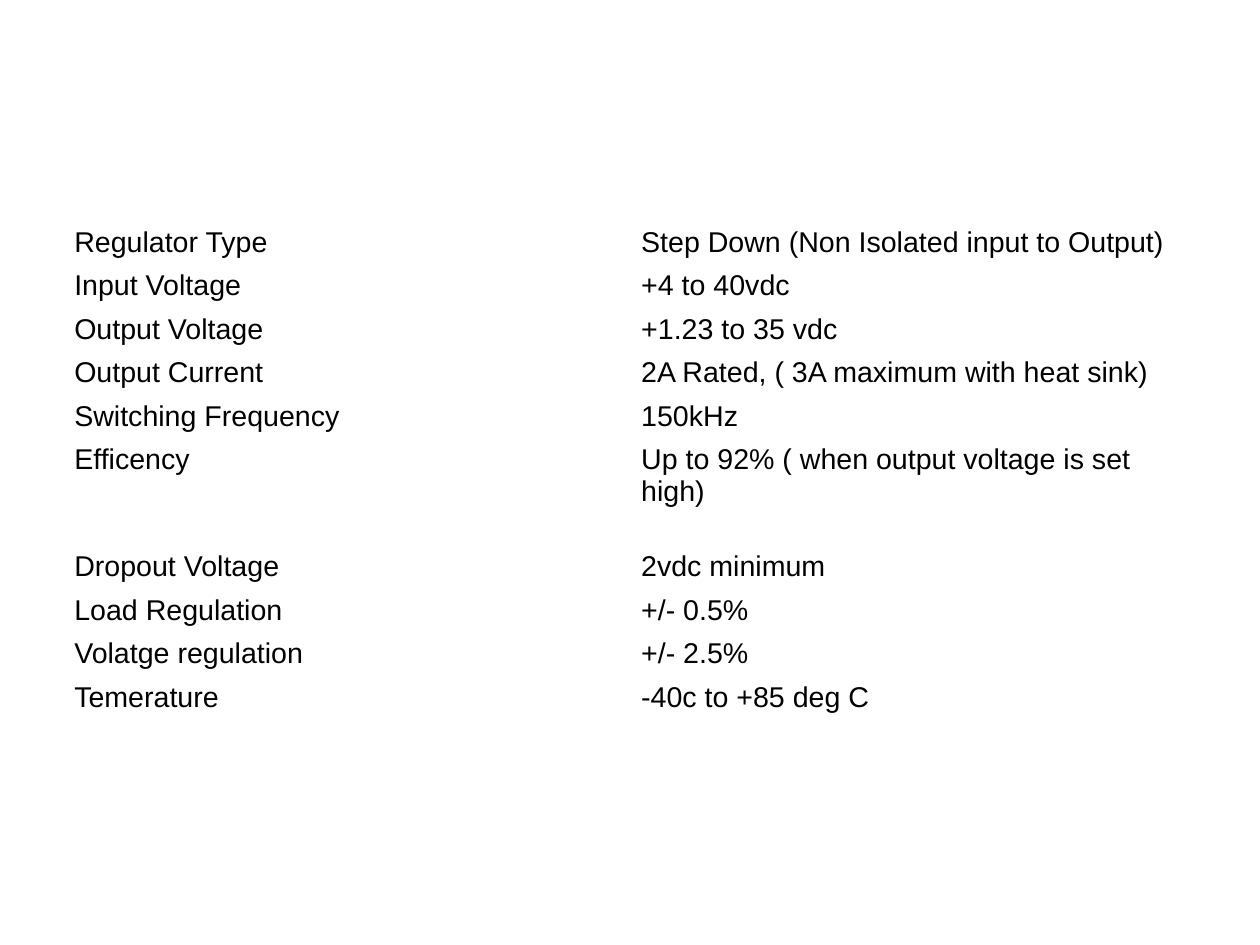
from dataclasses import dataclass

from pptx import Presentation
from pptx import util as u
from pptx.dml import color
from pptx.enum import text


@dataclass
class Theme:
    ink: str = "000000"
    face: str = "Arial"
    size: int = 18


class Deck:
    def __init__(self, theme, show):
        self.theme = theme
        self.slide = show.slides.add_slide(show.slide_layouts[6])

    def style(self, item, **format):
        for name, value in format.items():
            setattr(item, name, value)

    def table(self, rows, left, top, width, heights):
        frame = self.slide.shapes.add_table(
            len(rows), len(rows[0]), u.Inches(left), u.Inches(top),
            u.Inches(width), u.Inches(sum(heights)))
        grid = frame.table
        self.style(grid, first_row=False, horz_banding=False)
        for column in grid.columns:
            column.width = u.Inches(width / len(rows[0]))
        for line, words, height in zip(grid.rows, rows, heights):
            line.height = u.Inches(height)
            for cell, word in zip(line.cells, words):
                self.cell(cell, word)

    def cell(self, cell, word):
        cell.fill.background()
        self.style(cell, vertical_anchor=text.MSO_ANCHOR.TOP,
                   margin_left=u.Inches(0.1), margin_right=u.Inches(0.1),
                   margin_top=u.Inches(0.05), margin_bottom=u.Inches(0.05))
        run = cell.text_frame.paragraphs[0].add_run()
        run.text = word
        self.style(run.font, name=self.theme.face, size=u.Pt(self.theme.size),
                   bold=False)
        run.font.color.rgb = color.RGBColor.from_string(self.theme.ink)


SPECS = [
    ("Regulator Type", "Step Down (Non Isolated input to Output)"),
    ("Input Voltage", "+4 to 40vdc"),
    ("Output Voltage", "+1.23 to 35 vdc"),
    ("Output Current", "2A Rated, ( 3A maximum with heat sink)"),
    ("Switching Frequency", "150kHz"),
    ("Efficency", "Up to 92% ( when output voltage is set high)"),
    ("Dropout Voltage", "2vdc minimum"),
    ("Load Regulation", "+/- 0.5%"),
    ("Volatge regulation", "+/- 2.5%"),
    ("Temerature", "-40c to +85 deg C"),
]


def main():
    show = Presentation()
    show.slide_width = u.Inches(28 / 2.54)
    show.slide_height = u.Inches(21 / 2.54)
    deck = Deck(Theme(), show)
    heights = [0.94 if name == "Efficency" else 0.37 for name, _ in SPECS]
    deck.table(SPECS, 0.55, 1.93, 9.92, heights)
    show.save("out.pptx")


if __name__ == "__main__":
    main()
